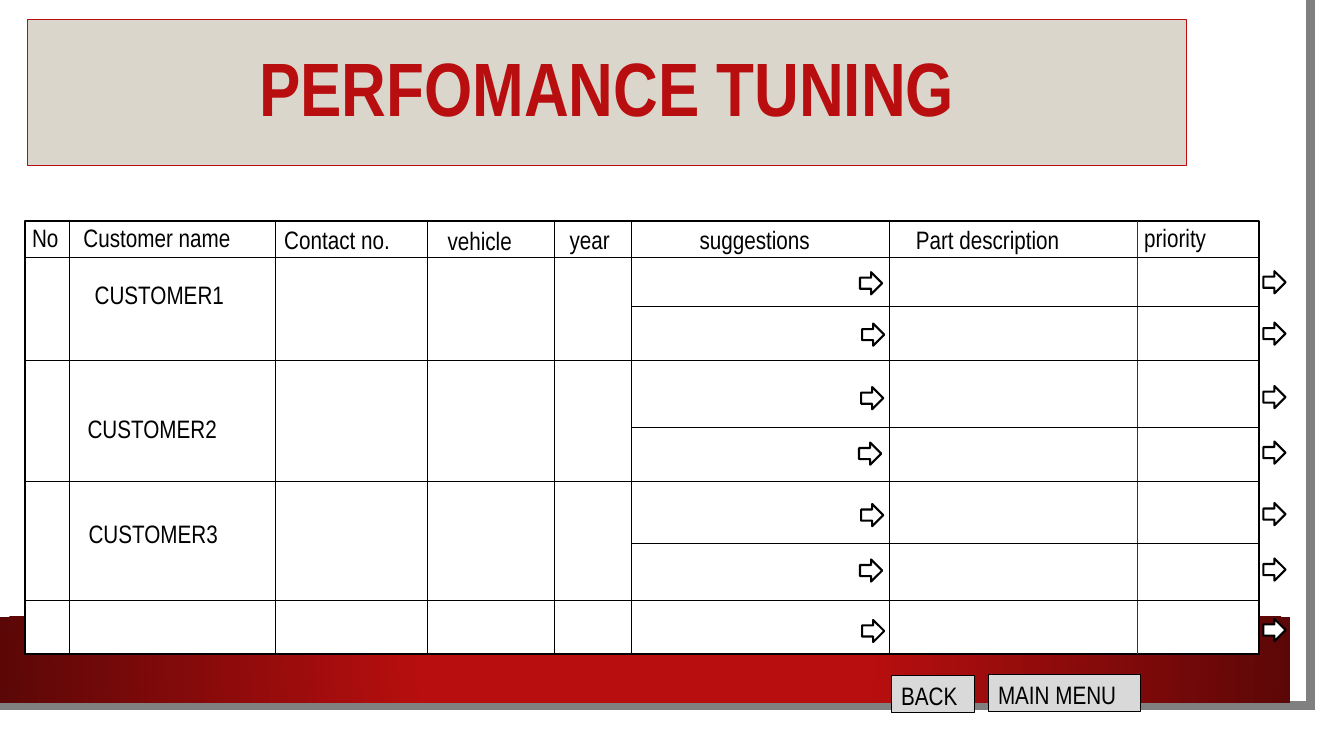
from lxml import etree
from pptx import Presentation
from pptx import util as u
from pptx.dml import color
from pptx.enum import shapes, text
from pptx.oxml import ns

BLACK, WHITE, RED, DARK_RED = "000000", "FFFFFF", "B80E0F", "5C0707"
SAND, GREY, LIGHT_GREY, MAROON = "DBD6CB", "808080", "D9D9D9", "930B0C"


def rgb(code):
    return color.RGBColor.from_string(code)


def write(shape, words, size=18, ink=BLACK, bold=False, align=text.PP_ALIGN.LEFT,
          anchor=text.MSO_ANCHOR.TOP, spacing=None, font="Arial Narrow"):
    frame = shape.text_frame
    frame.word_wrap = True
    frame.auto_size = text.MSO_AUTO_SIZE.NONE
    frame.vertical_anchor = anchor
    para = frame.paragraphs[0]
    para.alignment = align
    para.line_spacing = spacing
    span = para.add_run()
    span.text = words
    span.font.name, span.font.size, span.font.bold = font, u.Pt(size), bold
    span.font.color.rgb = rgb(ink)


class Sheet:
    """Draws styled elements on the current slide."""

    def __init__(self, page):
        self.page = page
        self.shapes = page.shapes

    def outline(self, shape, ink, width):
        shape.line.color.rgb = rgb(ink)
        shape.line.width = u.Pt(width)

    def box(self, left, top, width, height, fill=WHITE, line=None, weight=0.75,
            kind=shapes.MSO_SHAPE.RECTANGLE):
        shape = self.shapes.add_shape(kind, *map(u.Inches, (left, top, width, height)))
        shape.shadow.inherit = False
        shape.fill.solid()
        shape.fill.fore_color.rgb = rgb(fill)
        if line:
            self.outline(shape, line, weight)
        else:
            shape.line.fill.background()
        return shape

    def band(self, left, top, width, height, stops):
        shape = self.box(left, top, width, height)
        shape.fill.gradient()
        for stop, (position, ink) in zip(shape.fill.gradient_stops, stops):
            stop.position = position
            stop.color.rgb = rgb(ink)
        gradient = shape._element.spPr.find(ns.qn("a:gradFill"))
        gradient.remove(gradient.find(ns.qn("a:lin")))
        circle = etree.SubElement(gradient, ns.qn("a:path"), path="circle")
        etree.SubElement(circle, ns.qn("a:fillToRect"), l="50000", t="50000", r="50000", b="50000")

    def border(self, points, ink, weight):
        builder = self.shapes.build_freeform(*points[0], scale=u.Inches(1))
        builder.add_line_segments(points[1:], close=False)
        shape = builder.convert_to_shape()
        shape.shadow.inherit = False
        shape.fill.background()
        self.outline(shape, ink, weight)
        stroke = shape._element.spPr.find(ns.qn("a:ln"))
        etree.SubElement(stroke, ns.qn("a:miter"), lim="800000")

    def rule(self, x1, y1, x2, y2, ink=BLACK):
        line = self.shapes.add_connector(shapes.MSO_CONNECTOR.STRAIGHT,
                                         *map(u.Inches, (x1, y1, x2, y2)))
        self.outline(line, ink, 0.75)
        etree.SubElement(line._element.spPr, ns.qn("a:effectLst"))

    def label(self, words, left, top, width, **style):
        shape = self.shapes.add_textbox(*map(u.Inches, (left, top, width, 0.4)))
        write(shape, words, **style)

    def button(self, words, left, top, width):
        write(self.box(left, top, width, 0.37, LIGHT_GREY, BLACK), words)

    def arrow(self, left, top):
        self.box(left, top, 0.22, 0.22, WHITE, BLACK, 1.5, shapes.MSO_SHAPE.RIGHT_ARROW)

    def title(self, words, left, top, width, height):
        title = self.shapes.title
        title.left, title.top, title.width, title.height = map(u.Inches, (left, top, width, height))
        title.fill.solid()
        title.fill.fore_color.rgb = rgb(SAND)
        self.outline(title, RED, 0.75)
        write(title, words, size=54, ink=RED, bold=True, align=text.PP_ALIGN.CENTER,
              anchor=text.MSO_ANCHOR.MIDDLE, spacing=0.9)
        self.shapes._spTree.append(title._element)


def main():
    deck = Presentation()
    deck.slide_width, deck.slide_height = u.Inches(13.33), u.Inches(7.5)
    sheet = Sheet(deck.slides.add_slide(deck.slide_layouts[5]))

    sheet.box(0, 0, 13.1, 7.27)
    sheet.border([(12.82, 0), (12.85, 7.02), (-0.03, 7.01)], GREY, 6.5)
    sheet.band(0, 6.12, 12.8, 0.85, [(0.34, RED), (1, DARK_RED)])
    sheet.title("PERFOMANCE TUNING", 0.27, 0.19, 11.5, 1.45)

    left, top, right, bottom = 0.25, 2.19, 12.49, 6.49
    sheet.box(left, top, right - left, bottom - top, WHITE, BLACK, 1.5)
    for x in (0.69, 2.73, 4.24, 5.5, 6.26, 8.82):
        sheet.rule(x, top, x, bottom)
    sheet.rule(11.28, top, 11.28, bottom, MAROON)
    for y in (2.55, 3.58, 4.78, 5.96):
        sheet.rule(left, y, right, y)
    for y in (3.04, 4.24, 5.39):
        sheet.rule(6.26, y, right, y)

    for words, x, y, width in (
        ("No", 0.22, 2.16, 0.54), ("Customer name", 0.73, 2.16, 1.96),
        ("Contact no.", 2.72, 2.18, 1.49), ("vehicle", 4.34, 2.19, 1.48),
        ("year", 5.55, 2.18, 0.81), ("suggestions", 6.84, 2.18, 1.55),
        ("priority", 11.25, 2.16, 1.24), ("CUSTOMER1", 0.84, 2.72, 1.52),
        ("CUSTOMER2", 0.77, 4.05, 1.52), ("CUSTOMER3", 0.78, 5.09, 1.5),
    ):
        sheet.label(words, x, y, width)
    sheet.label("Part description", 8.85, 2.18, 1.89, align=text.PP_ALIGN.CENTER)

    arrow_rows = ((8.53, 2.69), (8.55, 3.2), (8.54, 3.83), (8.52, 4.38),
                  (8.54, 4.99), (8.53, 5.54), (8.55, 6.14))
    for x, y in arrow_rows:
        sheet.arrow(x, y + 0.01)
        sheet.arrow(12.53, y)

    sheet.button("BACK", 8.84, 6.7, 0.83)
    sheet.button("MAIN MENU", 9.8, 6.69, 1.51)
    deck.save("out.pptx")


if __name__ == "__main__":
    main()
